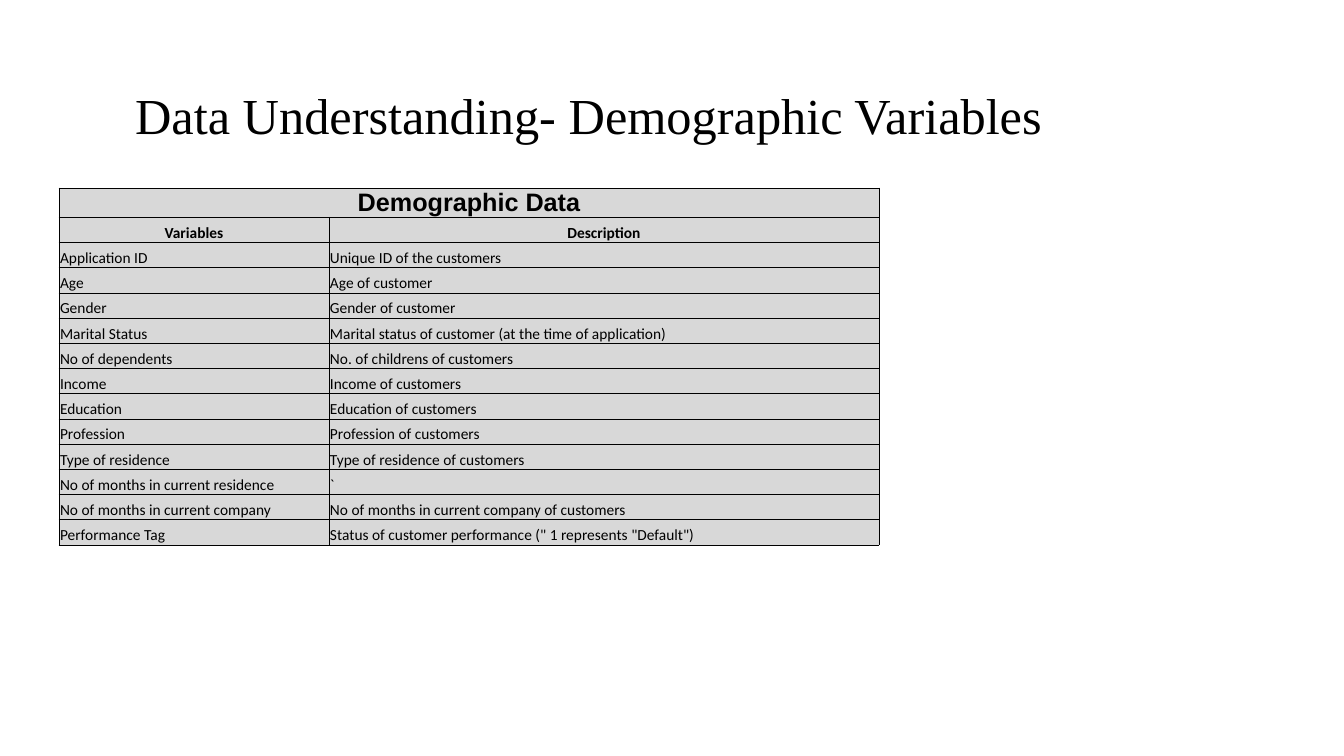
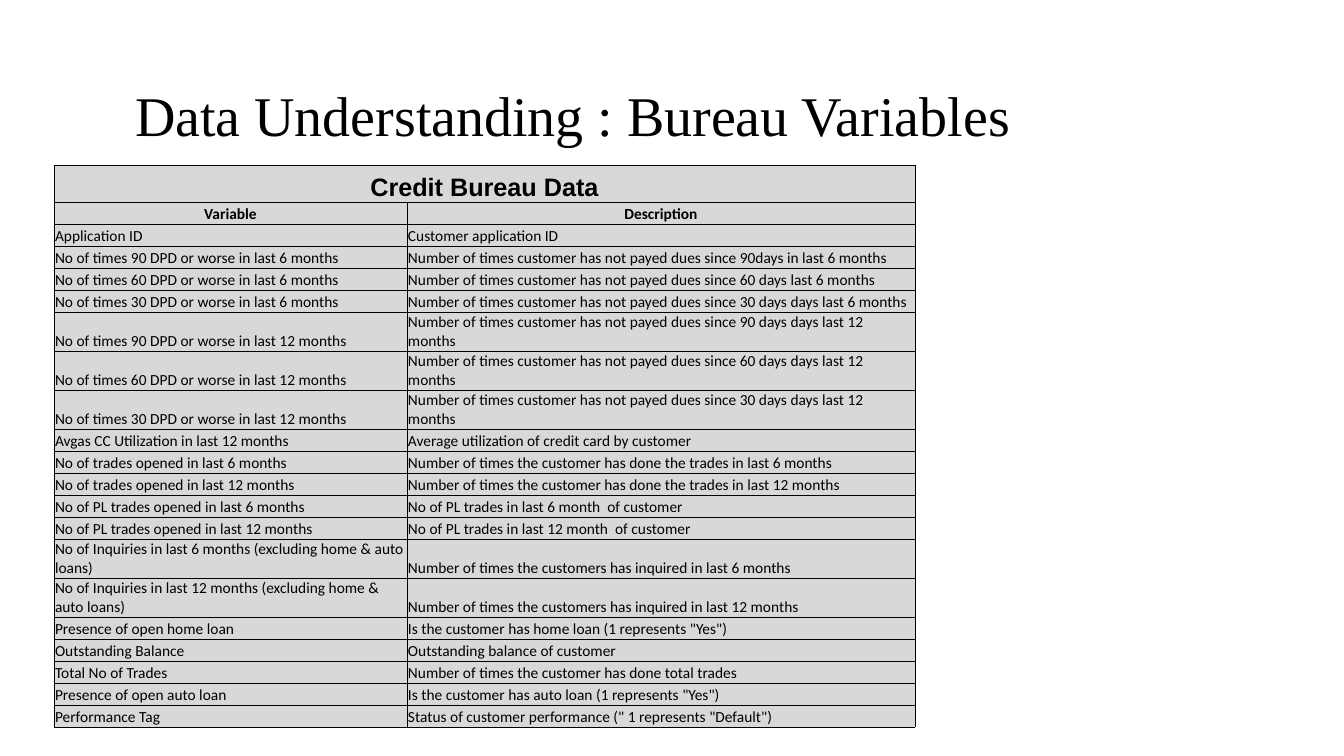
from dataclasses import dataclass

from lxml.etree import SubElement
from pptx import Presentation
from pptx.dml.color import RGBColor
from pptx.enum.text import MSO_ANCHOR as Anchor, MSO_AUTO_SIZE as AutoSize, PP_ALIGN as Align
from pptx.oxml.ns import qn
from pptx.util import Emu, Pt


@dataclass(frozen=True)
class Theme:
    ink: str = "000000"
    cell: str = "D8D8D8"
    title_font: str = "Times New Roman"
    caption_font: str = "Arial"
    body_font: str = "Calibri"
    caption_size: int = 18
    body_size: int = 11
    border_width: float = 0.5


THEME = Theme()
TITLE_ONLY = 5

DEMOGRAPHIC = [
    ("Application ID", "Unique ID of the customers"),
    ("Age", "Age of customer"),
    ("Gender", "Gender of customer"),
    ("Marital Status", "Marital status of customer (at the time of application)"),
    ("No of dependents", "No. of childrens of customers"),
    ("Income", "Income of customers"),
    ("Education", "Education of customers"),
    ("Profession", "Profession of customers"),
    ("Type of residence", "Type of residence of customers"),
    ("No of months in current residence", "`"),
    ("No of months in current company", "No of months in current company of customers"),
    ("Performance Tag", 'Status of customer performance (" 1 represents "Default")'),
]

BUREAU = [
    ("Application ID", "Customer application ID"),
    ("No of times 90 DPD or worse in last 6 months",
     "Number of times customer has not payed dues since 90days in last 6 months"),
    ("No of times 60 DPD or worse in last 6 months",
     "Number of times customer has not payed dues since 60 days last 6 months"),
    ("No of times 30 DPD or worse in last 6 months",
     "Number of times customer has not payed dues since 30 days days last 6 months"),
    *[(f"No of times {days} DPD or worse in last 12 months",
       f"Number of times customer has not payed dues since {days} days days last 12 months")
      for days in (90, 60, 30)],
    ("Avgas CC Utilization in last 12 months", "Average utilization of credit card by customer"),
    *[(f"No of trades opened in last {months} months",
       f"Number of times the customer has done the trades in last {months} months")
      for months in (6, 12)],
    *[(f"No of PL trades opened in last {months} months",
       f"No of PL trades in last {months} month  of customer")
      for months in (6, 12)],
    *[(f"No of Inquiries in last {months} months (excluding home & auto loans)",
       f"Number of times the customers has inquired in last {months} months")
      for months in (6, 12)],
    ("Presence of open home loan", 'Is the customer has home loan (1 represents "Yes")'),
    ("Outstanding Balance", "Outstanding balance of customer"),
    ("Total No of Trades", "Number of times the customer has done total trades"),
    ("Presence of open auto loan", 'Is the customer has auto loan (1 represents "Yes")'),
    ("Performance Tag", 'Status of customer performance (" 1 represents "Default")'),
]


def px(length):
    return Emu(round(length * 914400 / 100.8))


def write(frame, text, *, font=THEME.body_font, size=THEME.body_size,
          bold=False, align=Align.LEFT, spacing=None):
    paragraph = frame.paragraphs[0]
    paragraph.alignment = align
    paragraph.line_spacing = spacing
    run = paragraph.add_run()
    run.text = text
    run.font.name = font
    run.font.size = Pt(size)
    run.font.bold = bold
    run.font.color.rgb = RGBColor.from_string(THEME.ink)


def add_title(slide, text, size):
    title = slide.shapes.title
    title.left, title.top, title.width, title.height = map(px, (125, 71, 1027, 95))
    frame = title.text_frame
    frame.word_wrap = True
    frame.auto_size = AutoSize.NONE
    frame.vertical_anchor = Anchor.MIDDLE
    write(frame, text, font=THEME.title_font, size=size, spacing=0.9)


def style_cell(cell):
    properties = cell._tc.get_or_add_tcPr()
    for side in ("a:lnL", "a:lnR", "a:lnT", "a:lnB"):
        border = SubElement(properties, qn(side), w=str(Pt(THEME.border_width)))
        fill = SubElement(border, qn("a:solidFill"))
        SubElement(fill, qn("a:srgbClr"), val=THEME.ink)
    cell.fill.solid()
    cell.fill.fore_color.rgb = RGBColor.from_string(THEME.cell)
    cell.vertical_anchor = Anchor.BOTTOM
    cell.margin_left = cell.margin_right = cell.margin_top = px(1)
    cell.margin_bottom = 0


def add_dictionary(slide, caption, headings, variables, *, left, top,
                   widths, caption_height, body_height):
    lines = [headings, *variables]
    table = slide.shapes.add_table(
        len(lines) + 1, len(widths), px(left), px(top),
        px(sum(widths)), px(caption_height + body_height)).table
    table.first_row = table.horz_banding = False
    for column, width in zip(table.columns, widths):
        column.width = px(width)
    for row in table.rows:
        row.height = px(body_height / len(lines))
    table.rows[0].height = px(caption_height)
    for cell in table.iter_cells():
        style_cell(cell)

    caption_cell = table.cell(0, 0)
    caption_cell.merge(table.cell(0, len(widths) - 1))
    write(caption_cell.text_frame, caption, font=THEME.caption_font,
          size=THEME.caption_size, bold=True, align=Align.CENTER)
    for row, line in enumerate(lines, start=1):
        is_heading = row == 1
        for column, text in enumerate(line):
            write(table.cell(row, column).text_frame, text, bold=is_heading,
                  align=Align.CENTER if is_heading else Align.LEFT)


def main():
    deck = Presentation()
    deck.slide_width, deck.slide_height = px(1344), px(756)
    layout = deck.slide_layouts[TITLE_ONLY]

    demographic = deck.slides.add_slide(layout)
    add_title(demographic, "Data Understanding- Demographic Variables", 36)
    add_dictionary(demographic, "Demographic Data", ("Variables", "Description"), DEMOGRAPHIC,
                   left=59, top=188, widths=(270, 550), caption_height=29, body_height=328)

    bureau = deck.slides.add_slide(layout)
    add_title(bureau, "Data Understanding : Bureau Variables", 40)
    add_dictionary(bureau, "Credit Bureau Data", ("Variable", "Description"), BUREAU,
                   left=54, top=165, widths=(353, 508), caption_height=37, body_height=440)

    deck.save("out.pptx")


if __name__ == "__main__":
    main()
